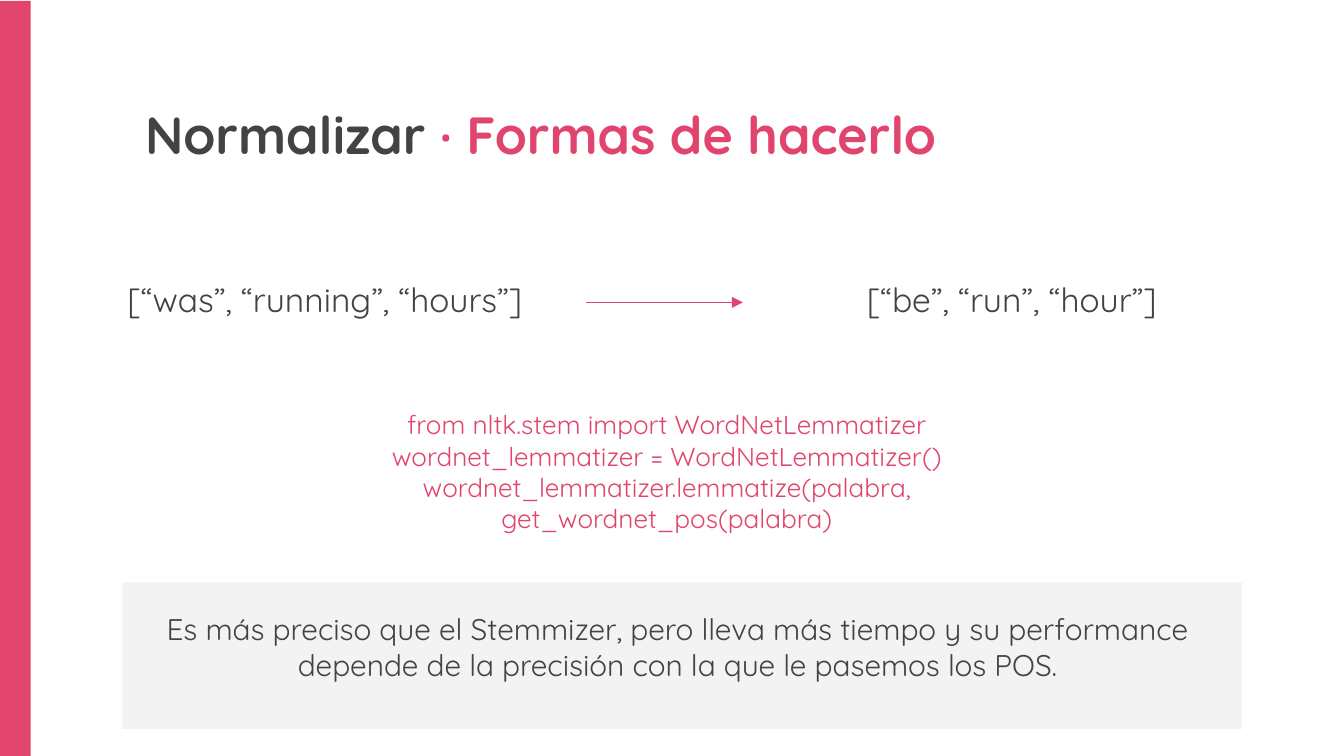
from lxml import etree
from pptx import Presentation
from pptx.dml.color import RGBColor
from pptx.enum.shapes import MSO_CONNECTOR, MSO_SHAPE
from pptx.enum.text import MSO_ANCHOR, PP_ALIGN
from pptx.oxml.ns import qn
from pptx.util import Pt

PINK = RGBColor(0xE1, 0x44, 0x6D)
DARK = RGBColor(0x43, 0x43, 0x43)
LIGHT = RGBColor(0xF3, 0xF3, 0xF3)
FONT = "Quicksand"
RECTANGLE = MSO_SHAPE.RECTANGLE
STRAIGHT = MSO_CONNECTOR.STRAIGHT
LEFT, CENTER = PP_ALIGN.LEFT, PP_ALIGN.CENTER
TOP, MIDDLE = MSO_ANCHOR.TOP, MSO_ANCHOR.MIDDLE
INSET = Pt(7.2)


def add_block(slide, left, top, width, height, color):
    """Add a plain filled rectangle."""
    shape = slide.shapes.add_shape(RECTANGLE, Pt(left), Pt(top), Pt(width), Pt(height))
    shape.shadow.inherit = False
    shape.fill.solid()
    shape.fill.fore_color.rgb = color
    shape.line.fill.background()


def add_text(slide, box, paragraphs, *, size, color=DARK, bold=False, align=LEFT, anchor=TOP):
    """Add a text box; each paragraph is a list of (text, color or None) runs."""
    frame = slide.shapes.add_textbox(*map(Pt, box)).text_frame
    frame.word_wrap = True
    frame.vertical_anchor = anchor
    frame.margin_left = frame.margin_right = INSET
    frame.margin_top = frame.margin_bottom = INSET
    for index, runs in enumerate(paragraphs):
        paragraph = frame.add_paragraph() if index else frame.paragraphs[0]
        paragraph.alignment = align
        for text, run_color in runs:
            run = paragraph.add_run()
            run.text = text
            run.font.name = FONT
            run.font.size = Pt(size)
            run.font.bold = bold
            run.font.color.rgb = run_color or color


def add_arrow(slide, start, end, color):
    """Add a thin straight arrow between two points."""
    connector = slide.shapes.add_connector(STRAIGHT, *map(Pt, (*start, *end)))
    connector.line.color.rgb = color
    connector.line.width = Pt(0.75)
    line = connector.line._get_or_add_ln()
    etree.SubElement(line, qn("a:tailEnd"), type="triangle")
    etree.SubElement(connector._element.spPr, qn("a:effectLst"))


def main():
    """Build the lemmatizing slide and save it."""
    presentation = Presentation()
    presentation.slide_width, presentation.slide_height = Pt(720), Pt(405)
    slide = presentation.slides.add_slide(presentation.slide_layouts[6])

    add_block(slide, 0, 0.5, 16.5, 404.5, PINK)
    add_block(slide, 65.5, 312, 600, 78.5, LIGHT)

    title = [[("Normalizar ", None), ("· Formas de hacerlo", PINK)]]
    add_text(slide, (70.6, 47.5, 577.5, 46), title, size=28, bold=True)

    note = (
        "Es más preciso que el Stemmizer, pero lleva más tiempo y su performance "
        "depende de la precisión con la que le pasemos los POS."
    )
    add_text(slide, (60.5, 312, 605, 68.5), [[(note, None)]], size=16, align=CENTER, anchor=MIDDLE)

    code = (
        "from nltk.stem import WordNetLemmatizer",
        "wordnet_lemmatizer = WordNetLemmatizer()",
        "wordnet_lemmatizer.lemmatize(palabra, get_wordnet_pos(palabra)",
    )
    code_lines = [[(line, None)] for line in code]
    add_text(slide, (141, 211.7, 432.7, 29.5), code_lines, size=14, color=PINK, align=CENTER)

    add_text(slide, (61.2, 142, 229.7, 52), [[("[“was”, “running”, “hours”]", None)]], size=18)
    add_text(slide, (430.6, 142, 223, 52), [[("[“be”, “run”, “hour”]", None)]], size=18, align=CENTER)
    add_arrow(slide, (314, 162), (398, 162), PINK)

    presentation.save("out.pptx")


if __name__ == "__main__":
    main()
